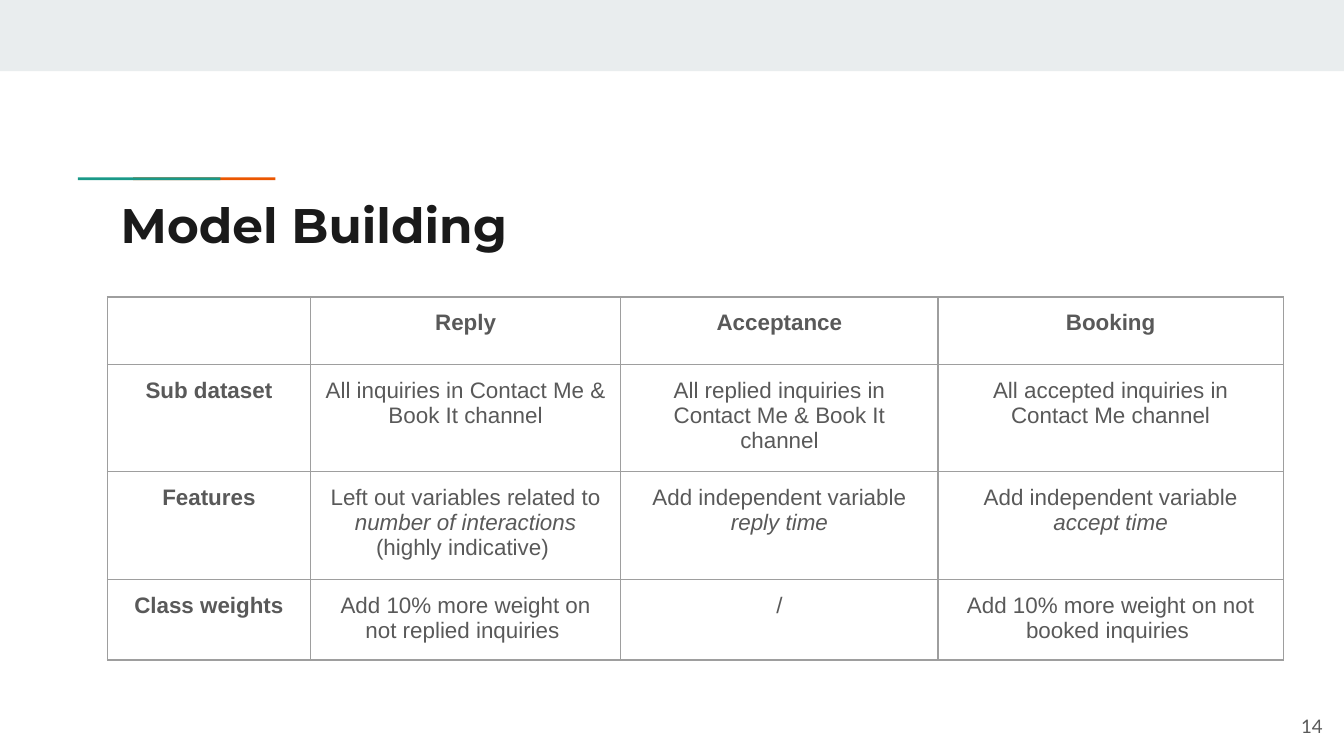
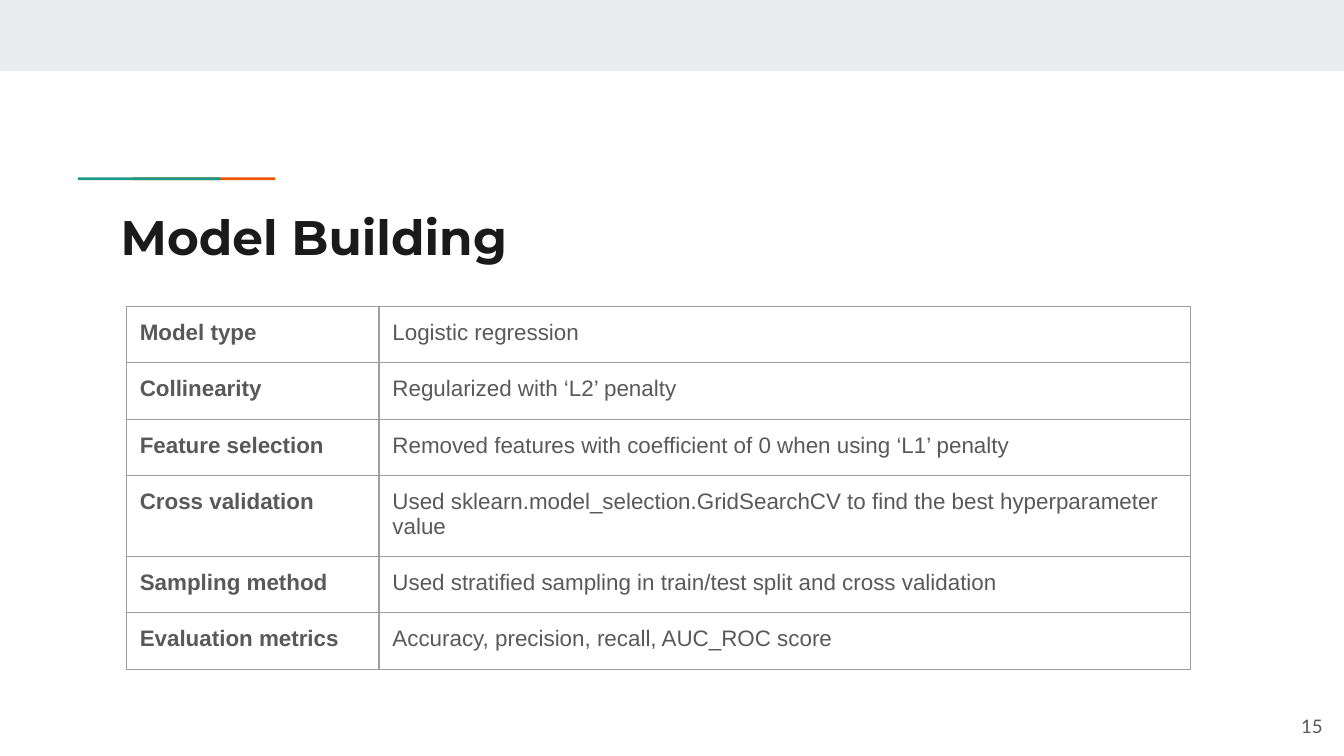
from pptx import Presentation
from pptx.dml.color import RGBColor
from pptx.enum.shapes import MSO_SHAPE
from pptx.enum.text import MSO_ANCHOR, PP_ALIGN
from pptx.oxml import parse_xml
from pptx.oxml.ns import nsdecls
from pptx.util import Inches, Pt

RECT = MSO_SHAPE.RECTANGLE
LEFT, MID, RIGHT = PP_ALIGN.LEFT, PP_ALIGN.CENTER, PP_ALIGN.RIGHT
TOP, CENTER = MSO_ANCHOR.TOP, MSO_ANCHOR.MIDDLE
WIDE, PAD = 10, 0.1
HIGH = WIDE * 9 / 16
BAND, GREEN, CORAL = "E9EDEE", "1A9988", "EB5600"
INK, GRAY, EDGE = "1A1A1A", "595959", "9E9E9E"

STAGES = [
    ["", "Reply", "Acceptance", "Booking"],
    ["Sub dataset", "All inquiries in Contact Me & Book It channel",
     "All replied inquiries in Contact Me & Book It channel",
     "All accepted inquiries in Contact Me channel"],
    ["Features",
     "Left out variables related to *number of interactions* (highly indicative) ",
     "Add independent variable *reply time*",
     "Add independent variable *accept time*"],
    ["Class weights", "Add 10% more weight on not replied inquiries ", "/",
     "Add 10% more weight on not booked inquiries "],
]
METHODS = [
    ["Model type", "Logistic regression"],
    ["Collinearity ", "Regularized with ‘L2’ penalty"],
    ["Feature selection ",
     "Removed features with coefficient of 0 when using ‘L1’ penalty"],
    ["Cross validation ",
     "Used sklearn.model_selection.GridSearchCV to find the best hyperparameter value"],
    ["Sampling method",
     "Used stratified sampling in train/test split and cross validation "],
    ["Evaluation metrics", "Accuracy, precision, recall, AUC_ROC score"],
]


def color(code):
    return RGBColor.from_string(code)


def style(font, name, size, code, bold=False, slant=False):
    font.name, font.size = name, Pt(size)
    font.bold, font.italic = bold, slant
    font.color.rgb = color(code)


def pad(item):
    item.margin_left = item.margin_right = Inches(PAD)
    item.margin_top = item.margin_bottom = Inches(PAD)


def bar(slide, box, code):
    shape = slide.shapes.add_shape(RECT, *map(Inches, box))
    shape.shadow.inherit = False
    shape.fill.solid()
    shape.fill.fore_color.rgb = color(code)
    shape.line.fill.background()


def label(slide, box, text, look, align=LEFT, anchor=TOP):
    frame = slide.shapes.add_textbox(*map(Inches, box)).text_frame
    frame.word_wrap = True
    frame.vertical_anchor = anchor
    pad(frame)
    frame.text = text
    para = frame.paragraphs[0]
    para.alignment = align
    style(para.runs[0].font, *look)


def page(deck, number, top):
    slide = deck.slides.add_slide(deck.slide_layouts[6])
    bar(slide, (0, 0, WIDE, 0.53), BAND)
    bar(slide, (0.99, 1.32, 1.06, 0.02), CORAL)
    bar(slide, (0.58, 1.32, 1.06, 0.02), GREEN)
    label(slide, (0.8, top, 8.41, 0.59), "Model Building",
          ("Montserrat", 26, INK, True))
    label(slide, (9.34, 5.19, 0.6, 0.43), str(number),
          ("Lato", 10, GRAY), RIGHT, CENTER)
    return slide


def border(cell):
    props = cell._tc.get_or_add_tcPr()
    for side in "LRTB":
        props.append(parse_xml(
            f'<a:ln{side} {nsdecls("a")} w="{Pt(0.75)}"><a:solidFill>'
            f'<a:srgbClr val="{EDGE}"/></a:solidFill></a:ln{side}>'))


def write(cell, text, bold, align):
    pad(cell)
    border(cell)
    cell.fill.background()
    para = cell.text_frame.paragraphs[0]
    para.alignment = align
    for turn, part in enumerate(text.split("*")):
        if part:
            run = para.add_run()
            run.text = part
            style(run.font, "Arial", 12, GRAY, bold, turn % 2 == 1)


def grid(slide, left, top, cols, rows, data, align=LEFT, header=False):
    box = map(Inches, (left, top, sum(cols), sum(rows)))
    table = slide.shapes.add_table(len(rows), len(cols), *box).table
    table.first_row = table.horz_banding = False
    for col, width in zip(table.columns, cols):
        col.width = Inches(width)
    for row, height in zip(table.rows, rows):
        row.height = Inches(height)
    for y, line in enumerate(data):
        for x, text in enumerate(line):
            bold = x == 0 or (header and y == 0)
            write(table.cell(y, x), text, bold, align)


def main():
    deck = Presentation()
    deck.slide_width, deck.slide_height = Inches(WIDE), Inches(HIGH)
    grid(page(deck, 14, 1.35), 0.8, 2.21, [1.51, 2.31, 2.36, 2.57],
         [0.43, 0.7, 0.43, 0.43], STAGES, MID, True)
    grid(page(deck, 15, 1.44), 0.94, 2.28, [1.88, 6.04],
         [0.42] * len(METHODS), METHODS)
    deck.save("out.pptx")


main()
